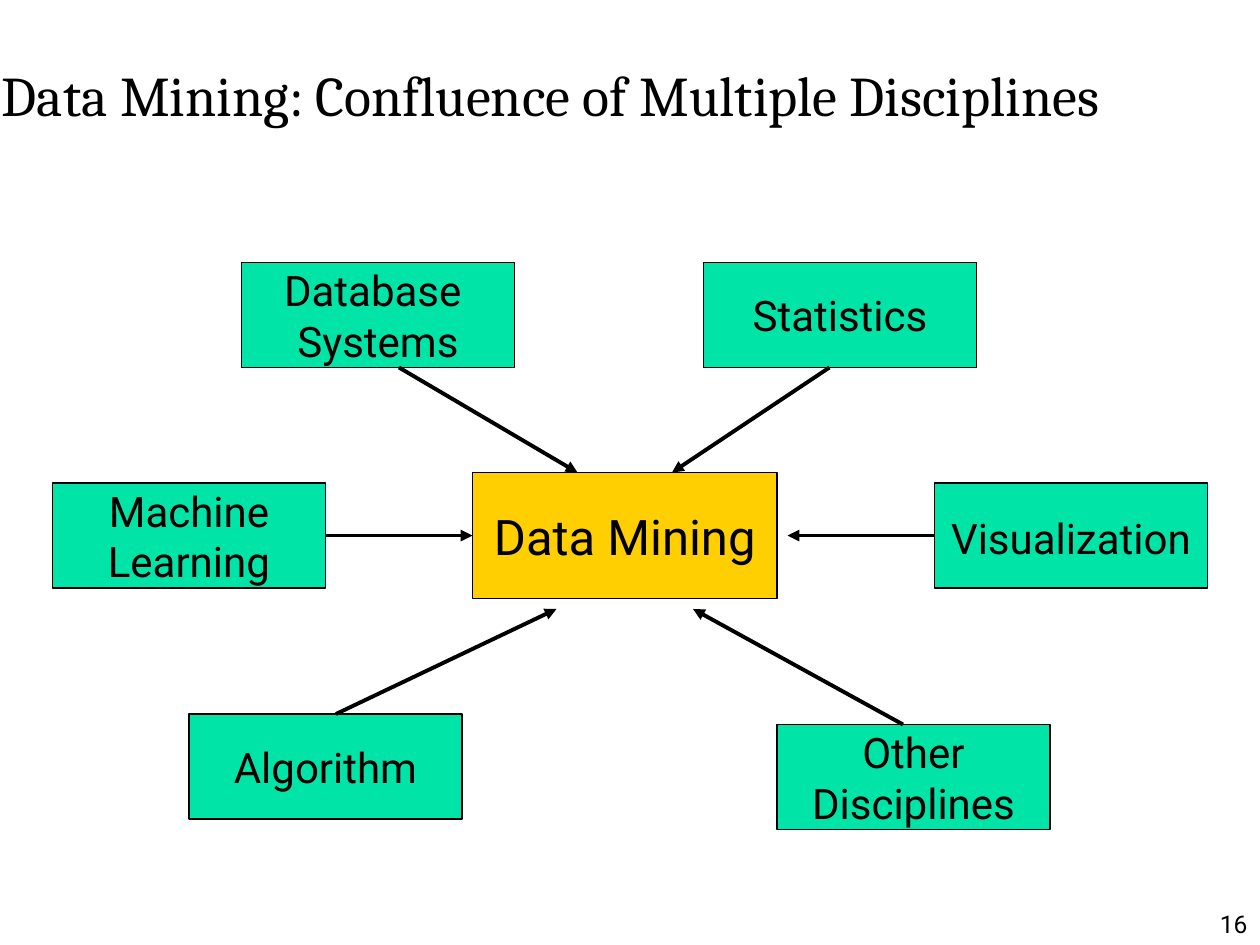
from lxml.etree import SubElement
from pptx import Presentation
from pptx.dml.color import RGBColor
from pptx.enum.shapes import MSO_CONNECTOR, MSO_SHAPE
from pptx.enum.text import MSO_ANCHOR, PP_ALIGN
from pptx.oxml.ns import qn
from pptx.util import Pt

COLORS = {"ink": "000000", "hub": "FFCF01", "discipline": "00E4A8"}
TITLE = "Data Mining: Confluence of Multiple Disciplines"
PAGE = "16"
HUB = ("Data Mining", 270, 270)
HUB_SIZE = (174, 72)
BOX_SIZE = (156, 60)

# text, left, top, arrow start, arrow end
DISCIPLINES = [
    ("Database \nSystems", 138, 150, (228, 210), (330, 270)),
    ("Statistics", 402, 150, (474, 210), (384, 270)),
    ("Other\nDisciplines", 444, 414, (516, 414), (396, 348)),
    ("Algorithm", 108, 408, (192, 408), (318, 348)),
    ("Machine\nLearning", 30, 276, (186, 306), (270, 306)),
    ("Visualization", 534, 276, (534, 306), (450, 306)),
]


def rgb(name):
    return RGBColor.from_string(COLORS[name])


def write(shape, text, size, font, align, anchor, wrap):
    tf = shape.text_frame
    tf.text = text
    tf.word_wrap = wrap
    tf.vertical_anchor = anchor
    for p in tf.paragraphs:
        p.alignment = align
        for r in p.runs:
            r.font.size = Pt(size)
            r.font.name = font
            r.font.color.rgb = rgb("ink")
    return tf


def add_label(s, text, left, top, width, height, *style):
    sp = s.shapes.add_textbox(Pt(left), Pt(top), Pt(width), Pt(height))
    write(sp, text, *style, True)


def add_box(s, text, left, top, box_size, fill, size):
    sp = s.shapes.add_shape(MSO_SHAPE.RECTANGLE, Pt(left), Pt(top), *map(Pt, box_size))
    sp.shadow.inherit = False
    sp.fill.solid()
    sp.fill.fore_color.rgb = rgb(fill)
    sp.line.color.rgb = rgb("ink")
    sp.line.width = Pt(0.75)
    return write(sp, text, size, "Roboto", PP_ALIGN.CENTER, MSO_ANCHOR.MIDDLE, False)


def add_arrow(s, start, end):
    line = s.shapes.add_connector(MSO_CONNECTOR.STRAIGHT, *map(Pt, start + end))
    line.line.color.rgb = rgb("ink")
    line.line.width = Pt(2.25)
    SubElement(line.line._get_or_add_ln(), qn("a:tailEnd"), type="triangle")
    SubElement(line._element.spPr, qn("a:effectLst"))


def main():
    prs = Presentation()
    prs.slide_width, prs.slide_height = Pt(720), Pt(540)
    s = prs.slides.add_slide(prs.slide_layouts[6])

    add_label(s, PAGE, 570, 504, 150, 36, 14, "Roboto", PP_ALIGN.RIGHT, MSO_ANCHOR.BOTTOM)
    add_label(s, TITLE, -6, 24, 744, 60, 32, "Cambria", PP_ALIGN.LEFT, MSO_ANCHOR.MIDDLE)
    add_box(s, *HUB, HUB_SIZE, "hub", 28)
    for text, left, top, _, _ in DISCIPLINES:
        tf = add_box(s, text, left, top, BOX_SIZE, "discipline", 24)
    # The last box, Visualization, has looser spacing
    tf.paragraphs[0].line_spacing = 1.1
    tf.paragraphs[0].space_before = Pt(6)
    for *_, start, end in DISCIPLINES:
        add_arrow(s, start, end)

    prs.save("out.pptx")


if __name__ == "__main__":
    main()
